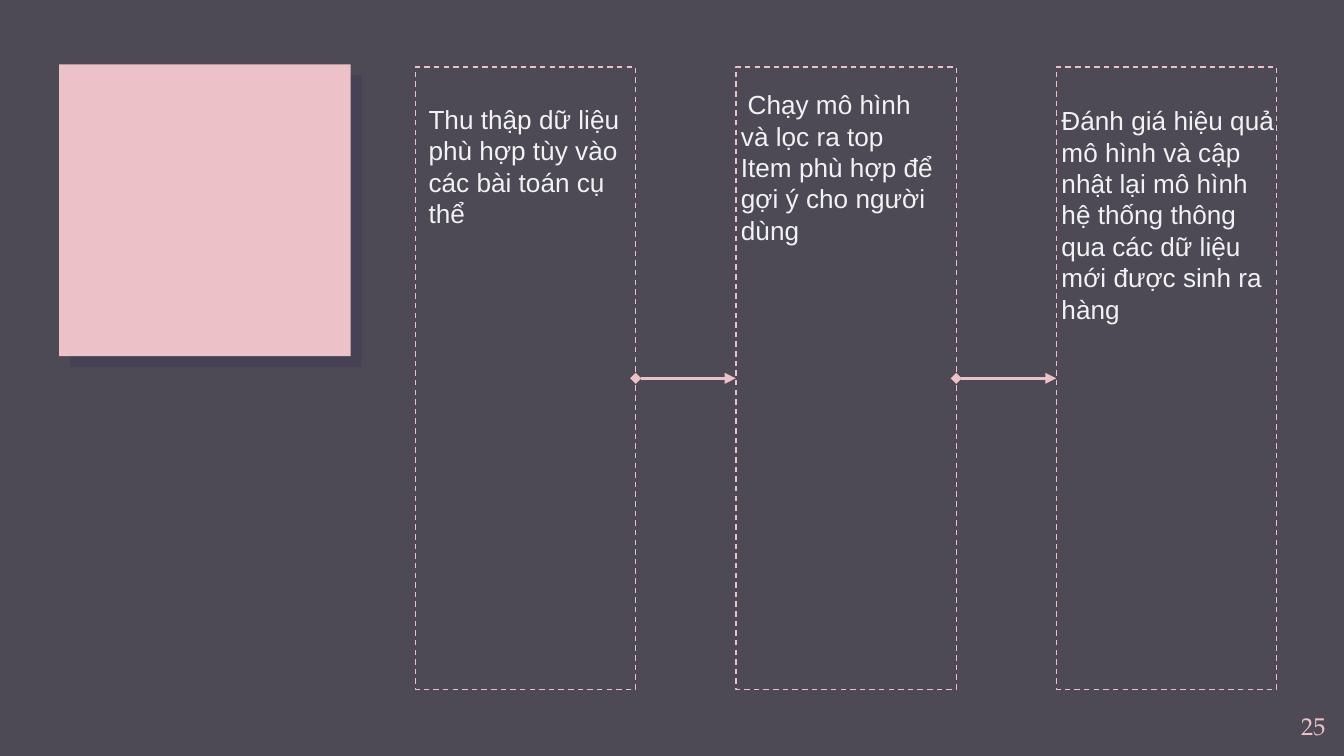
from dataclasses import dataclass

from lxml.etree import SubElement as Sub
from pptx import Presentation
from pptx.dml.color import RGBColor as Rgb
from pptx.enum.dml import MSO_LINE as Dash
from pptx.enum.shapes import MSO_CONNECTOR as Link, MSO_SHAPE as Kind
from pptx.enum.text import PP_ALIGN as Align
from pptx.oxml.ns import qn
from pptx.util import Inches, Pt


@dataclass(frozen=True)
class Theme:
    back: str = "4D4A56"
    pink: str = "ECC1C8"
    shade: str = "20124D"
    text: str = "F2F2F2"
    body: str = "Arial"
    serif: str = "TeX Gyre Pagella"
    size: int = 14
    small: int = 13


THEME = Theme()
WIDE = 10
HIGH = WIDE * 9 / 16
COL = 1.64  # width of a step
FLOW = (3.09, 0.5, 6.41, 4.63)

# Per step: text offset from its column, text size, first-line indent, lines
STEPS = [
    ((0, 0.22), (1.78, 1.04), 0,
     ["Thu thập dữ liệu phù hợp tùy vào các bài toán cụ", "thể"]),
    ((-0.06, 0.11), (1.64, 1.28), 0.05,
     ["Chạy mô hình và lọc ra top Item phù hợp để gợi ý cho người dùng"]),
    ((-0.06, 0.23), (1.83, 1.75), 0,
     ["Đánh giá hiệu quả mô hình và cập nhật lại mô hình hệ thống thông "
      "qua các dữ liệu mới được sinh ra hàng"]),
]


def color(code):
    return Rgb.from_string(code)


def place(box):
    return [Inches(n) for n in box]


def add_rect(slide, box):
    rect = slide.shapes.add_shape(Kind.RECTANGLE, *place(box))
    rect.shadow.inherit = False
    return rect


def add_panel(slide, box):
    """Solid square with a hard shadow to the lower right."""
    panel = add_rect(slide, box)
    panel.fill.solid()
    panel.fill.fore_color.rgb = color(THEME.pink)
    panel.line.fill.background()
    effects = panel._element.spPr.find(qn("a:effectLst"))
    shadow = Sub(effects, qn("a:outerShdw"), blurRad="0", dist=str(Pt(8.2)),
                 dir=str(45 * 60000), algn="bl", rotWithShape="0")
    tint = Sub(shadow, qn("a:srgbClr"), val=THEME.shade)
    Sub(tint, qn("a:alpha"), val="15000")


def add_text(slide, box, lines, font, size, ink, align=Align.LEFT, indent=0):
    frame = slide.shapes.add_textbox(*place(box)).text_frame
    frame.word_wrap = True
    frame.text = "\n".join(lines)
    for para in frame.paragraphs:
        para.alignment = align
        para.font.name = font
        para.font.size = Pt(size)
        para.font.color.rgb = color(ink)
        if indent:
            para._p.get_or_add_pPr().set("indent", str(Inches(indent)))
    return frame


def add_step(slide, box, shift, size, indent, lines):
    rect = add_rect(slide, box)
    rect.fill.background()
    rect.line.color.rgb = color(THEME.pink)
    rect.line.width = Pt(0.75)
    rect.line.dash_style = Dash.DASH
    spot = (box[0] + shift[0], box[1] + shift[1], *size)
    add_text(slide, spot, lines, THEME.body, THEME.size, THEME.text,
             indent=indent)


def add_arrow(slide, left, right, y):
    arrow = slide.shapes.add_connector(Link.STRAIGHT,
                                       *place((left, y, right, y)))
    arrow.line.color.rgb = color(THEME.pink)
    arrow.line.width = Pt(1.5)
    line = arrow.line._get_or_add_ln()
    Sub(line, qn("a:headEnd"), type="diamond")
    Sub(line, qn("a:tailEnd"), type="triangle")
    Sub(arrow._element.spPr, qn("a:effectLst"))


def add_flow(slide, box):
    """Steps spread evenly over the box and joined by arrows."""
    left, top, width, height = box
    pitch = (width - COL) / (len(STEPS) - 1)
    for i, step in enumerate(STEPS):
        x = left + i * pitch
        add_step(slide, (x, top, COL, height), *step)
        if i:
            add_arrow(slide, x - pitch + COL, x, top + height / 2)


def add_number(slide, box, number):
    frame = add_text(slide, box, [number], THEME.serif, THEME.small,
                     THEME.pink, Align.RIGHT)
    frame.margin_top = frame.margin_bottom = Inches(0.1)


def main():
    deck = Presentation()
    deck.slide_width, deck.slide_height = Inches(WIDE), Inches(HIGH)
    slide = deck.slides.add_slide(deck.slide_layouts[6])
    slide.background.fill.solid()
    slide.background.fill.fore_color.rgb = color(THEME.back)
    add_panel(slide, (0.44, 0.48, 2.17, 2.17))
    add_flow(slide, FLOW)
    add_number(slide, (9.36, 5.19, 0.6, 0.43), "25")
    deck.save("out.pptx")


if __name__ == "__main__":
    main()
